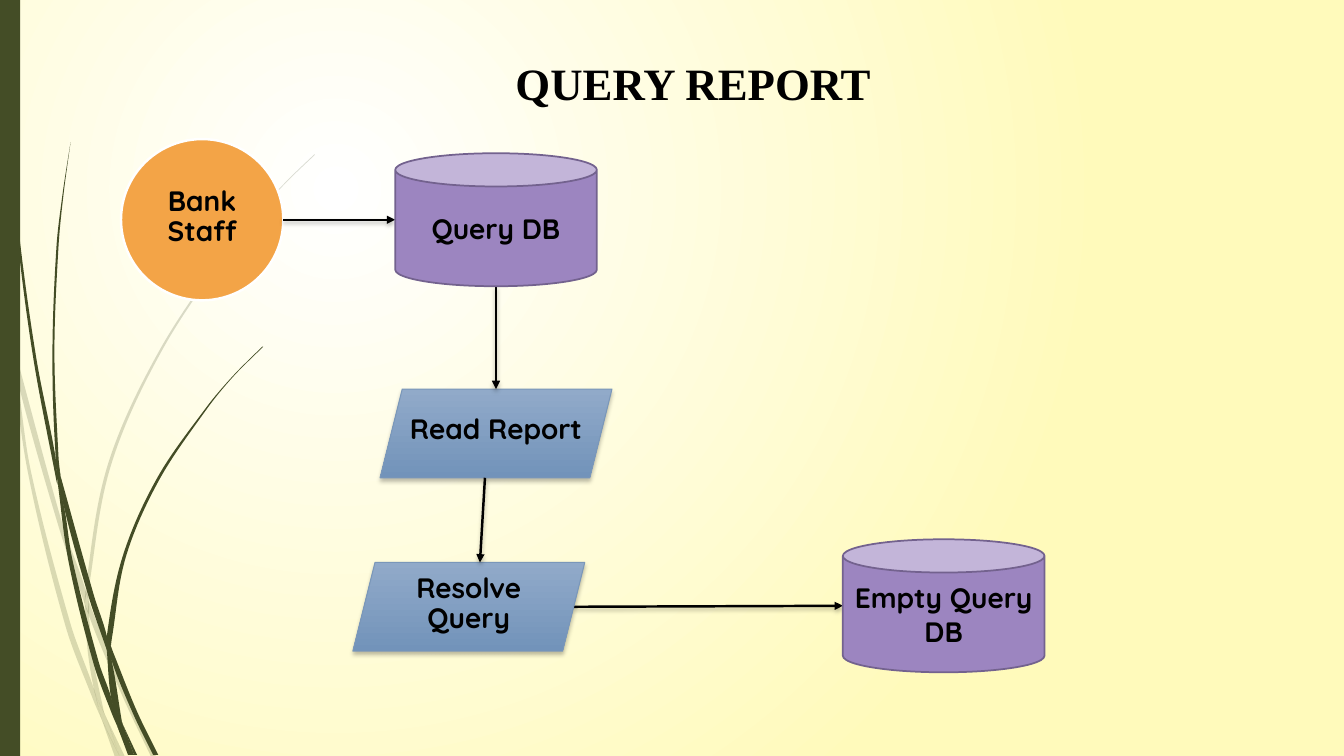
from lxml import etree
from pptx import Presentation
from pptx.dml.color import RGBColor
from pptx.enum.shapes import MSO_CONNECTOR, MSO_SHAPE
from pptx.enum.text import MSO_ANCHOR, PP_ALIGN
from pptx.oxml import parse_xml
from pptx.oxml.ns import nsdecls, qn
from pptx.util import Inches, Pt

CIRCLE, CAN = MSO_SHAPE.OVAL, MSO_SHAPE.CAN
PARALLELOGRAM, RECTANGLE = MSO_SHAPE.PARALLELOGRAM, MSO_SHAPE.RECTANGLE
STRAIGHT = MSO_CONNECTOR.STRAIGHT
MIDDLE, TOP, CENTER = MSO_ANCHOR.MIDDLE, MSO_ANCHOR.TOP, PP_ALIGN.CENTER
GREEN, BLACK = "444D26", "000000"
TITLE_ONLY = 5
SLANT = 0.22
UNITS = 1000  # outline units in an inch

# Each piece of grass: left edge and right edge, both from top to bottom.
PALE_GRASS = [
    ([(0, 2.82), (0, 2.99), (0.1, 3.44), (0.11, 3.5)], [(0, 2.82), (0.09, 3.22), (0.11, 3.5)]),
    ([(0.14, 3.45), (0.17, 3.76), (0.58, 5.22), (0.84, 5.99)],
     [(0.14, 3.45), (0.62, 5.2), (0.85, 5.86), (0.84, 5.99)]),
    ([(0.88, 5.96), (0.88, 6.1), (1.23, 6.94), (1.5, 7.51)],
     [(0.88, 5.96), (0.92, 6.07), (1.27, 6.92), (1.55, 7.51)]),
    ([(1.05, 7.11), (1.19, 7.51)], [(1.05, 7.11), (1.24, 7.51)]),
    ([(0.11, 3.5), (0.28, 4.7), (0.65, 6.21), (0.92, 6.93), (1.01, 7.14)],
     [(0.11, 3.5), (0.17, 3.76), (0.31, 4.69), (0.7, 6.19), (0.93, 6.83), (0.99, 7.07), (1.01, 7.14)]),
    ([(0.84, 5.99), (0.87, 6.46), (0.93, 6.83), (0.96, 6.92), (1.05, 7.11)],
     [(0.84, 5.99), (0.88, 6.1), (0.91, 6.46), (1.03, 7.06), (1.05, 7.11)]),
    ([(3.12, 1.53), (2.89, 1.75), (2.68, 1.97), (2.28, 2.44), (1.58, 3.48), (1.07, 4.61), (0.85, 5.84),
      (0.88, 5.96)],
     [(3.12, 1.54), (2.9, 1.75), (2.68, 1.98), (2.29, 2.45), (1.6, 3.49), (1.1, 4.62), (0.88, 5.84),
      (0.88, 5.96)]),
    ([(1.01, 7.14), (1.14, 7.51)], [(1.01, 7.14), (1.19, 7.51)]),
    ([(0.85, 5.86), (0.84, 5.99), (0.88, 6.1)], [(0.85, 5.86), (0.88, 5.96), (0.88, 6.1)]),
    ([(0.93, 6.83), (0.99, 7.07), (1.01, 7.14), (1.19, 7.51)],
     [(0.93, 6.83), (0.96, 6.92), (1.05, 7.11), (1.19, 7.51)]),
]
DARK_GRASS = [
    ([(0.03, 0), (0.04, 0.48), (0.07, 1.1), (0.17, 2.33), (0.33, 3.55), (0.56, 4.77), (0.57, 4.81)],
     [(0.04, 0), (0.05, 0.48), (0.08, 1.09), (0.19, 2.32), (0.36, 3.55), (0.55, 4.53), (0.57, 4.81)]),
    ([(0.6, 4.72), (0.64, 5.05), (0.88, 5.92), (1.06, 6.45)],
     [(0.6, 4.72), (0.93, 5.9), (1.06, 6.31), (1.06, 6.45)]),
    ([(1.1, 6.41), (1.11, 6.56), (1.32, 7.08), (1.52, 7.49)],
     [(1.1, 6.41), (1.13, 6.49), (1.36, 7.06), (1.57, 7.49)]),
    ([(0.57, 4.77), (0.68, 5.57), (0.93, 6.59), (1.11, 7.08), (1.17, 7.22)],
     [(0.57, 4.77), (0.64, 5.05), (0.72, 5.56), (0.98, 6.57), (1.1, 6.91), (1.17, 7.22)]),
    ([(0.7, 1.41), (0.62, 1.93), (0.56, 2.45), (0.52, 3.49), (0.55, 4.49), (0.6, 4.72)],
     [(0.7, 1.41), (0.63, 1.93), (0.58, 2.45), (0.54, 3.49), (0.58, 4.53), (0.6, 4.72)]),
    ([(1.22, 7.19), (1.33, 7.49)], [(1.22, 7.19), (1.36, 7.49)]),
    ([(0.55, 4.49), (0.57, 4.77), (0.64, 5.05)], [(0.55, 4.49), (0.6, 4.72), (0.64, 5.05)]),
    ([(2.6, 3.44), (2.31, 3.73), (2.04, 4.05), (1.56, 4.74), (1.22, 5.51), (1.06, 6.31), (1.1, 6.41)],
     [(2.61, 3.44), (2.31, 3.74), (2.05, 4.06), (1.58, 4.76), (1.25, 5.52), (1.11, 6.33), (1.1, 6.41)]),
    ([(1.17, 7.22), (1.27, 7.49)], [(1.17, 7.22), (1.31, 7.49)]),
    ([(1.06, 6.45), (1.1, 6.91), (1.16, 7.06), (1.22, 7.19)],
     [(1.06, 6.45), (1.11, 6.56), (1.21, 7.16), (1.22, 7.19)]),
    ([(1.06, 6.31), (1.06, 6.45), (1.11, 6.56)], [(1.06, 6.31), (1.1, 6.41), (1.11, 6.56)]),
    ([(1.1, 6.91), (1.17, 7.22), (1.3, 7.49)], [(1.1, 6.91), (1.22, 7.19), (1.33, 7.49)]),
]


def color(hex_string):
    return RGBColor.from_string(hex_string)


def set_fill(fill, hex_string):
    fill.solid()
    fill.fore_color.rgb = color(hex_string)


def set_gradient(fill, first, last):
    fill.gradient()
    for stop, hex_string in zip(fill.gradient_stops, (first, last)):
        stop.color.rgb = color(hex_string)


def set_line(line, hex_string, width):
    line.color.rgb = color(hex_string)
    line.width = Pt(width)


def add_soft_shadow(shape):
    properties = shape.element.spPr
    for effects in properties.findall(qn("a:effectLst")):
        properties.remove(effects)
    properties.append(parse_xml(
        f'<a:effectLst {nsdecls("a")}><a:outerShdw blurRad="{Pt(3)}" dist="{Pt(2)}" dir="5400000" '
        f'rotWithShape="0"><a:srgbClr val="{BLACK}"><a:alpha val="25000"/></a:srgbClr></a:outerShdw>'
        '</a:effectLst>'))


def add_run(paragraph, text, font_name, size):
    paragraph.alignment = CENTER
    run = paragraph.add_run()
    run.text = text
    run.font.name, run.font.size, run.font.bold = font_name, Pt(size), True
    run.font.color.rgb = color(BLACK)


def paint_background(slide):
    set_gradient(slide.background.fill, "FFFFFF", "FFFABB")
    gradient = slide.element.find(".//" + qn("a:gradFill"))
    gradient.remove(gradient.find(qn("a:lin")))
    circle = etree.SubElement(gradient, qn("a:path"), path="circle")
    etree.SubElement(circle, qn("a:fillToRect"), l="50000", t="50000", r="100000", b="100000")


def edge_curves(points):
    """Return the two control points and the end of each curve along an edge."""
    slopes = []
    for index in range(len(points)):
        (x0, y0), (x1, y1) = points[max(index - 1, 0)], points[min(index + 1, len(points) - 1)]
        slopes.append((x1 - x0) / (y1 - y0))
    curves = []
    for (x0, y0), (x1, y1), slope0, slope1 in zip(points, points[1:], slopes, slopes[1:]):
        third = (y1 - y0) / 3
        curves.append([(x0 + third * slope0, y0 + third), (x1 - third * slope1, y1 - third), (x1, y1)])
    return curves


def add_grass_piece(slide, left_edge, right_edge, opacity):
    outline = left_edge + right_edge[::-1]
    left, top = (min(values) for values in zip(*outline))
    vertices = [(round(x * UNITS), round(y * UNITS)) for x, y in outline]
    builder = slide.shapes.build_freeform(*vertices[0], scale=Inches(1) / UNITS)
    builder.add_line_segments(vertices[1:], close=True)
    piece = builder.convert_to_shape()
    piece.shadow.inherit = False
    piece.line.fill.background()
    set_fill(piece.fill, GREEN)
    if opacity < 100:
        green = piece.element.spPr.find(".//" + qn("a:srgbClr"))
        etree.SubElement(green, qn("a:alpha"), val=str(opacity * 1000))
    lines = piece.element.findall(".//" + qn("a:lnTo"))
    joint = len(left_edge) - 1
    curves = edge_curves(left_edge) + edge_curves(right_edge[::-1])
    for line, curve in zip(lines[:joint] + lines[joint + 1:], curves):
        bend = etree.Element(qn("a:cubicBezTo"))
        for x, y in curve:
            etree.SubElement(bend, qn("a:pt"), x=str(round((x - left) * UNITS)),
                             y=str(round((y - top) * UNITS)))
        line.getparent().replace(line, bend)


def add_grass(slide):
    for pieces, opacity in ((PALE_GRASS, 20), (DARK_GRASS, 100)):
        for left_edge, right_edge in pieces:
            add_grass_piece(slide, left_edge, right_edge, opacity)
    bar = slide.shapes.add_shape(RECTANGLE, 0, 0, Inches(0.2), Inches(7.5))
    bar.shadow.inherit = False
    set_fill(bar.fill, GREEN)
    bar.line.fill.background()


def place_title(slide, text, left, top, width, height):
    title = slide.shapes.title
    title.left, title.top, title.width, title.height = map(Inches, (left, top, width, height))
    title.text_frame.vertical_anchor = TOP
    add_run(title.text_frame.paragraphs[0], text, "Times New Roman", 32)


def add_node(slide, kind, text, box):
    node = slide.shapes.add_shape(kind, *map(Inches, box))
    node.shadow.inherit = False
    frame = node.text_frame
    frame.word_wrap, frame.vertical_anchor = True, MIDDLE
    paragraph = frame.paragraphs[0]
    add_run(paragraph, text, "Quicksand", 20)
    if kind == PARALLELOGRAM:
        node.adjustments[0] = SLANT / box[3]
        set_gradient(node.fill, "91AAC9", "7293BA")
        node.fill.gradient_angle = 270
        set_line(node.line, "7A97B9", 0.75)
        add_soft_shadow(node)
    else:
        fill, *line = {CIRCLE: ("F3A447", "FFFFFF", 1.75), CAN: ("9C85C0", "73628E", 1.25)}[kind]
        set_fill(node.fill, fill)
        set_line(node.line, *line)
    if kind != CAN:
        frame.margin_left = frame.margin_right = frame.margin_top = Inches(0.01)
        frame.margin_bottom = Inches(0.06)
        paragraph.line_spacing, paragraph.space_after = 0.9, Pt(7)


def add_arrow(slide, start, end):
    arrow = slide.shapes.add_connector(STRAIGHT, *map(Inches, start + end))
    set_line(arrow.line, BLACK, 1.75)
    etree.SubElement(arrow.element.spPr.find(qn("a:ln")), qn("a:tailEnd"), type="triangle")
    add_soft_shadow(arrow)


def side(box, across, down, shift=0):
    """Return a point at fractions of a box, shifted sideways."""
    left, top, width, height = box
    return left + width * across + shift, top + height * down


def add_flowchart(slide):
    staff, query, empty = (1.2, 1.38, 1.61, 1.6), (3.92, 1.52, 2, 1.32), (8.36, 5.35, 2, 1.32)
    read, resolve = (3.77, 3.86, 2.3, 0.88), (3.5, 5.58, 2.3, 0.88)
    half = SLANT / 2
    add_node(slide, CIRCLE, "Bank Staff", staff)
    add_node(slide, PARALLELOGRAM, "Read Report", read)
    add_arrow(slide, side(resolve, 1, 0.5, -half), side(empty, 0, 0.5))
    add_arrow(slide, side(query, 0.5, 1), side(read, 0.5, 0))
    add_arrow(slide, side(staff, 1, 0.5), side(query, 0, 0.5))
    add_node(slide, CAN, "Query DB", query)
    add_node(slide, PARALLELOGRAM, "Resolve Query", resolve)
    add_arrow(slide, side(read, 0.5, 1, -half), side(resolve, 0.5, 0, half))
    add_node(slide, CAN, "Empty Query DB", empty)


presentation = Presentation()
presentation.slide_width, presentation.slide_height = Inches(13.33), Inches(7.5)
query_slide = presentation.slides.add_slide(presentation.slide_layouts[TITLE_ONLY])
paint_background(query_slide)
add_grass(query_slide)
place_title(query_slide, "QUERY REPORT", 2.82, 0.5, 8.11, 0.93)
add_flowchart(query_slide)
presentation.save("out.pptx")
